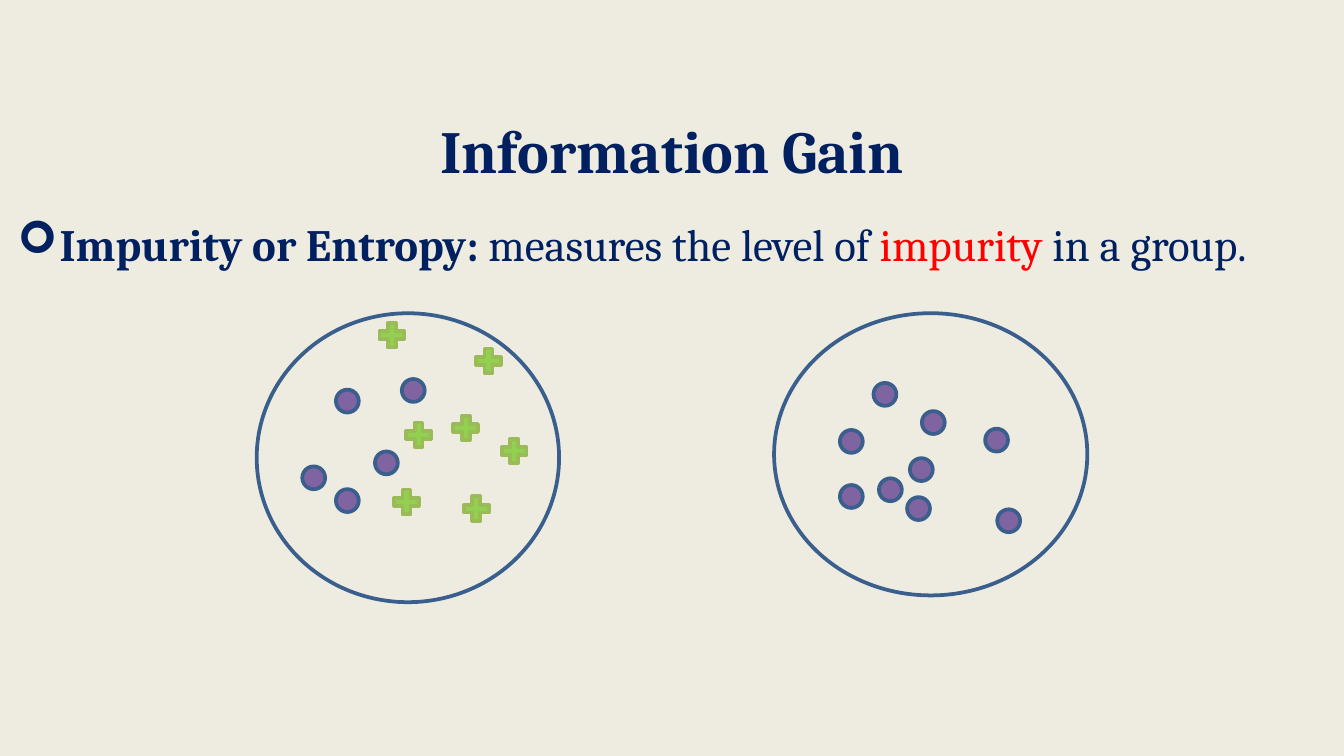
from lxml.etree import SubElement
from pptx import Presentation
from pptx.dml.color import RGBColor
from pptx.enum.shapes import MSO_SHAPE as Shape
from pptx.enum.text import MSO_ANCHOR as Anchor, MSO_AUTO_SIZE as AutoSize, PP_ALIGN as Align
from pptx.oxml.ns import qn
from pptx.util import Pt

COLORS = {
    "background": "EEECE1",
    "navy": "002060",
    "red": "FF0000",
    "outline": "3A5F8C",
    "purple": "8064A2",
    "green": "92D050",
    "green_edge": "9BBB59",
}
FONT = "Cambria"
DOT_SIZE, PLUS_SIZE = 12.24, 18

# Outer circles as left, top, width, height
MIXED_CIRCLE = (137.5, 167.8, 162, 154.8)
PURE_CIRCLE = (414.7, 167.8, 167.8, 151.2)

# Centres of the group members
MIXED_DOTS = [(186.1, 214.9), (168.1, 256), (186.1, 268.2), (207, 248), (221.4, 209.2)]
MIXED_PLUSES = [(209.9, 179.6), (261.7, 193.3), (224.3, 232.9), (217.8, 268.9),
                (249.5, 229.3), (255.2, 272.5), (275.4, 241.6)]
PURE_DOTS = [(456.1, 236.5), (456.1, 266), (500, 226.4), (492.1, 272.5), (540.4, 279),
             (533.9, 235.8), (474.1, 211.3), (493.6, 251.6), (477, 262.4)]


def rgb(name):
    return RGBColor.from_string(COLORS[name])


def set_all(target, values):
    for name, value in values.items():
        setattr(target, name, value)


def place(box, left, top, width, height):
    set_all(box, {"left": Pt(left), "top": Pt(top), "width": Pt(width), "height": Pt(height)})


def add_span(para, text, size, color="navy", bold=False):
    span = para.add_run()
    span.text = text
    set_all(span.font, {"name": FONT, "size": Pt(size), "bold": bold})
    span.font.color.rgb = rgb(color)


def prepare_text(box, anchor, align):
    set_all(box.text_frame, {"word_wrap": True, "auto_size": AutoSize.NONE,
                             "vertical_anchor": anchor})
    para = box.text_frame.paragraphs[0]
    set_all(para, {"alignment": align, "space_before": Pt(0)})
    return para


def add_bullet(para, symbol, indent):
    props = para._p.get_or_add_pPr()
    props.set("marL", str(Pt(indent)))
    props.set("indent", str(-Pt(indent)))
    SubElement(props, qn("a:buFont"), typeface="Wingdings")
    SubElement(props, qn("a:buChar"), char=symbol)


def add_figure(group, kind, bounds, line, fill=None):
    figure = group.shapes.add_shape(kind, *map(Pt, bounds))
    figure.shadow.inherit = False
    if fill:
        figure.fill.solid()
        figure.fill.fore_color.rgb = rgb(fill)
    else:
        figure.fill.background()
    figure.line.color.rgb = rgb(line)
    figure.line.width = Pt(2)


def add_members(group, kind, centres, size, line, fill):
    for x, y in centres:
        add_figure(group, kind, (x - size / 2, y - size / 2, size, size), line, fill)


def add_sample(page, circle, dots, pluses=()):
    group = page.shapes.add_group_shape()
    add_figure(group, Shape.OVAL, circle, "outline")
    add_members(group, Shape.OVAL, dots, DOT_SIZE, "outline", "purple")
    add_members(group, Shape.MATH_PLUS, pluses, PLUS_SIZE, "green_edge", "green")


def main():
    deck = Presentation()
    set_all(deck, {"slide_width": Pt(720), "slide_height": Pt(405)})
    page = deck.slides.add_slide(deck.slide_layouts[1])
    page.background.fill.solid()
    page.background.fill.fore_color.rgb = rgb("background")

    # Title
    title = page.shapes.title
    place(title, 0, 58.3, 720, 43.2)
    para = prepare_text(title, Anchor.MIDDLE, Align.CENTER)
    add_span(para, "Information Gain", 32, bold=True)

    # Definition
    body = page.placeholders[1]
    place(body, 2.2, 112.3, 717.8, 36)
    para = prepare_text(body, Anchor.TOP, Align.LEFT)
    add_bullet(para, "➢", 22.5)
    add_span(para, "Impurity or Entropy: ", 24, bold=True)
    add_span(para, "measures the level of ", 24)
    add_span(para, "impurity", 24, "red")
    add_span(para, " in a group.", 24)

    # Impure group on the left, pure group on the right
    add_sample(page, MIXED_CIRCLE, MIXED_DOTS, MIXED_PLUSES)
    add_sample(page, PURE_CIRCLE, PURE_DOTS)

    deck.save("out.pptx")


if __name__ == "__main__":
    main()
